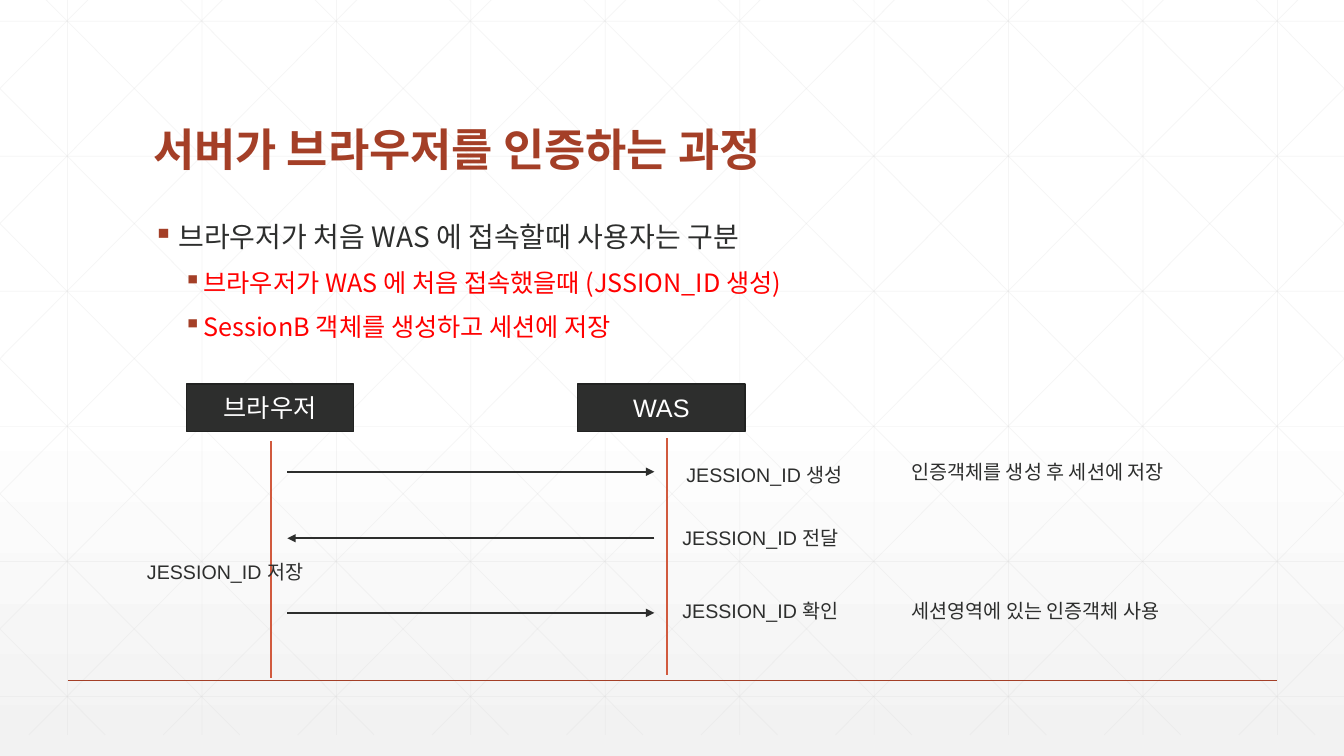
from lxml import etree
from pptx import Presentation
from pptx.dml.color import RGBColor
from pptx.enum.shapes import MSO_CONNECTOR, MSO_SHAPE
from pptx.enum.text import MSO_ANCHOR, PP_ALIGN
from pptx.oxml.ns import qn
from pptx.util import Inches, Pt

STRAIGHT, RECT = MSO_CONNECTOR.STRAIGHT, MSO_SHAPE.RECTANGLE
TOP, MIDDLE, BOTTOM = MSO_ANCHOR.TOP, MSO_ANCHOR.MIDDLE, MSO_ANCHOR.BOTTOM
LEFT, CENTER = PP_ALIGN.LEFT, PP_ALIGN.CENTER

WIDE, HIGH = 13.33, 7.5
NOTO, ARIAL = "Noto Sans CJK KR", "Arial"
RUST, CORAL, DARK, RED = "A43F27", "D15A3E", "2D2E2D", "FF0000"


def color(code):
    return RGBColor.from_string(code)


def child(parent, tag, **attrs):
    """Add an XML child with the given attributes."""
    node = etree.SubElement(parent, qn(tag))
    for key, value in attrs.items():
        node.set(key, str(value))
    return node


def line(slide, start, end, code, width, alpha=None, arrow=False):
    rule = slide.shapes.add_connector(
        STRAIGHT, *[Inches(n) for n in (*start, *end)])
    rule.line.color.rgb = color(code)
    rule.line.width = Pt(width)
    props = rule.line._get_or_add_ln()
    if alpha:
        child(props.find(".//" + qn("a:srgbClr")), "a:alpha", val=alpha * 1000)
    if arrow:
        child(props, "a:tailEnd", type="triangle")
    child(rule._element.spPr, "a:effectLst")


def write(para, text, font=ARIAL, size=14, code=DARK, bold=False,
          align=LEFT, space=None):
    """Put one formatted run into a paragraph."""
    para.alignment = align
    if space:
        para.line_spacing = space
    run = para.add_run()
    run.text = text
    run.font.name, run.font.size, run.font.bold = font, Pt(size), bold
    run.font.color.rgb = color(code)
    child(run._r.get_or_add_rPr(), "a:ea", typeface=NOTO)


def frame(slide, box, anchor=TOP, wrap=True):
    """Add an empty text box and return its text frame."""
    area = slide.shapes.add_textbox(*[Inches(n) for n in box]).text_frame
    area.word_wrap = wrap
    area.vertical_anchor = anchor
    return area


def backdrop(slide):
    slide.background.fill.gradient()
    slide.background.fill.gradient_angle = 270
    stops = slide._element.find(".//" + qn("a:gsLst"))
    for stop in list(stops):
        stops.remove(stop)
    for place, code, alpha in ((0, "FFFFFF", 100), (53, "FFFFFF", 100),
                               (100, "F2F2F2", 65)):
        stop = child(stops, "a:gs", pos=place * 1000)
        tint = child(stop, "a:srgbClr", val=code)
        if alpha < 100:
            child(tint, "a:alpha", val=alpha * 1000)


def lattice(slide, top, bottom):
    """Draw the faint grid, with diagonals clipped at the slide's sides."""
    step, run = 4 / 3, 7.46
    slope = (bottom - top) / run
    pairs = [((0.67 + i * step, top), (0.67 + i * step, bottom))
             for i in range(10)]
    pairs += [((0, 0.21 + i * 1.34), (WIDE, 0.21 + i * 1.34))
              for i in range(6)]
    for i in range(-5, 10):
        base = 0.25 + i * step
        near, far = max(base, 0), min(base + run, WIDE)
        y1, y2 = [top + (x - base) * slope for x in (near, far)]
        pairs.append(((near, y1), (far, y2)))
        pairs.append(((WIDE - near, y1), (WIDE - far, y2)))
    for start, end in pairs:
        line(slide, start, end, "D9D9D9", 0.5, alpha=25)


def title(slide, box, text):
    area = frame(slide, box, BOTTOM)
    write(area.paragraphs[0], text, NOTO, 32, RUST, True, space=0.9)


def points(slide, box, items):
    """Write a bulleted list of (level, text) items."""
    area = frame(slide, box)
    looks = ((0.25, 0.25, 18, 20, DARK), (0.5, 0.2, 12, 18, RED))
    for i, (level, text) in enumerate(items):
        para = area.add_paragraph() if i else area.paragraphs[0]
        indent, hang, before, size, code = looks[level]
        write(para, text, NOTO, size, code, space=0.9)
        para.level, para.space_before = level, Pt(before)
        props = para._p.get_or_add_pPr()
        props.set("marL", str(Inches(indent)))
        props.set("indent", str(-Inches(hang)))
        child(child(props, "a:buClr"), "a:srgbClr", val=RUST)
        child(props, "a:buChar", char="▪")


def actor(slide, box, text):
    shape = slide.shapes.add_shape(RECT, *[Inches(n) for n in box])
    shape.shadow.inherit = False
    shape.fill.solid()
    shape.fill.fore_color.rgb = color(DARK)
    shape.line.color.rgb = color("212221")
    shape.line.width = Pt(1)
    shape.text_frame.vertical_anchor = MIDDLE
    write(shape.text_frame.paragraphs[0], text, size=18, code="FFFFFF",
          align=CENTER)


def sequence(slide, left, top):
    """Draw both actors, their lifelines, the messages and the notes."""
    for dx, name, life, drop in ((0, "브라우저", 0.84, 0.57),
                                 (3.88, "WAS", 4.77, 0.54)):
        actor(slide, (left + dx, top, 1.66, 0.47), name)
        line(slide, (left + life, top + drop),
             (left + life, top + drop + 2.35), CORAL, 1.5)
    for dy, back in ((0.87, False), (1.53, True), (2.27, False)):
        ends = [(left + 1, top + dy), (left + 4.64, top + dy)]
        if back:
            ends.reverse()
        line(slide, *ends, DARK, 1.5, arrow=True)
    for dx, dy, width, text in (
            (4.86, 0.73, 1.8, "JESSION_ID 생성"),
            (4.82, 1.36, 1.8, "JESSION_ID 전달"),
            (4.82, 2.08, 1.8, "JESSION_ID 확인"),
            (7.09, 0.7, 2.97, "인증객체를 생성 후 세션에 저장"),
            (7.09, 2.08, 2.92, "세션영역에 있는 인증객체 사용")):
        area = frame(slide, (left + dx, top + dy, width, 0.34), wrap=False)
        write(area.paragraphs[0], text)
    area = frame(slide, (left - 0.49, top + 1.7, 1.77, 0.57))
    write(area.paragraphs[0], "JESSION_ID 저장")


def main():
    deck = Presentation()
    deck.slide_width, deck.slide_height = Inches(WIDE), Inches(HIGH)
    slide = deck.slides.add_slide(deck.slide_layouts[6])
    backdrop(slide)
    lattice(slide, -0.21, 7.29)
    line(slide, (0.67, 6.75), (12.67, 6.75), RUST, 1)
    title(slide, (1.42, 0.55, 10.5, 1.25), "서버가 브라우저를 인증하는 과정")
    points(slide, (1.42, 2.17, 10.5, 4.17), (
        (0, "브라우저가 처음 WAS 에 접속할때 사용자는 구분"),
        (1, "브라우저가 WAS 에 처음 접속했을때 (JSSION_ID 생성)"),
        (1, "SessionB 객체를 생성하고 세션에 저장")))
    sequence(slide, 1.85, 3.81)
    deck.save("out.pptx")


if __name__ == "__main__":
    main()
